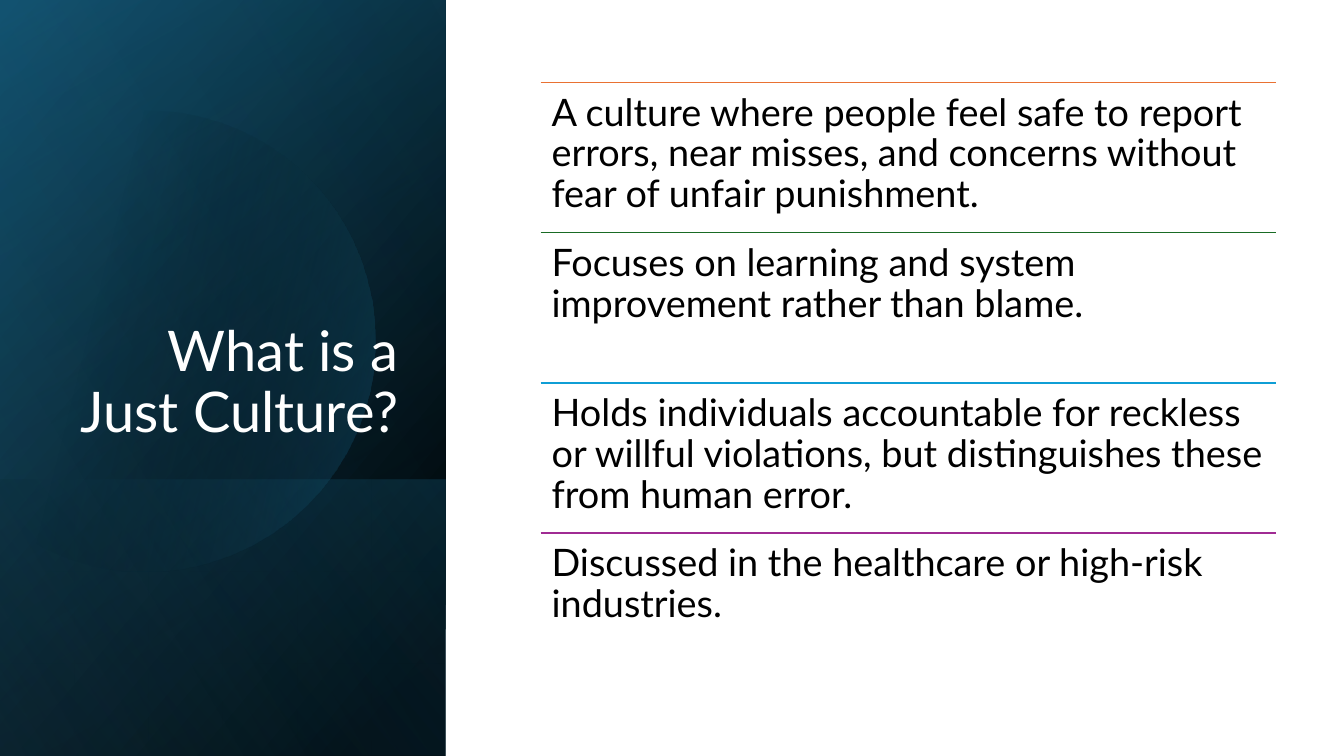
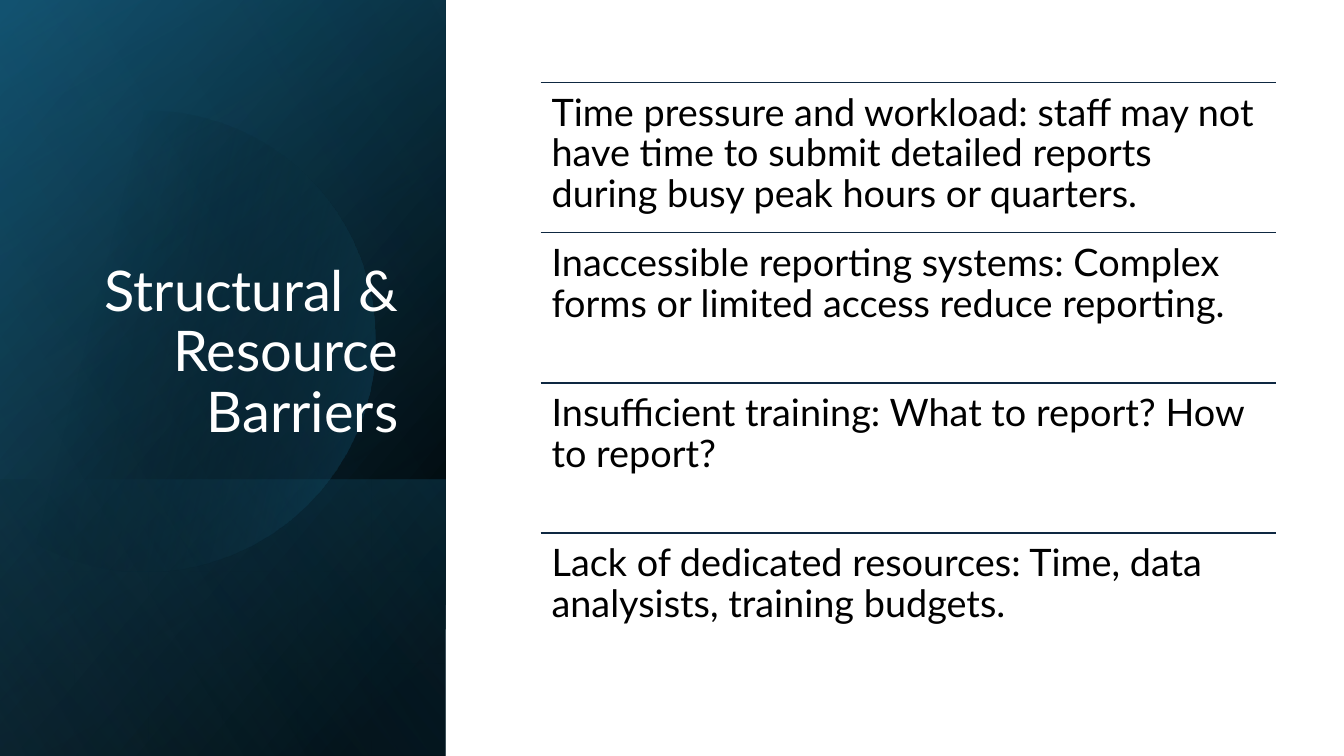
from dataclasses import dataclass

from pptx import Presentation, oxml, util as u
from pptx.dml.color import RGBColor
from pptx.enum import shapes, text
from pptx.oxml import ns

COLOURS = {
    "black": "000000", "white": "FFFFFF", "deep": "104862", "teal": "156082",
    "sky": "46B1E1", "navy": "0E2841", "orange": "E97132", "green": "196B24",
    "blue": "0F9ED5", "purple": "A02B93",
}
FONT = "Lato"
TITLE_ONLY = 5
CURVE_STEPS = 16

DISC_START = (33.7, 14.7)
DISC_RIGHT = [
    ((55.7, 14.9), (75.8, 23.6), (82.1, 36.7)),
    ((90, 52.9), (74.2, 69.7), (46.8, 74.4)),
    ((29.6, 77.3), (12, 74.8), (0, 68.5)),
]
DISC_EDGE = (0, 21.5)
DISC_TOP = [
    ((5.2, 18.9), (11.3, 17.1), (18.1, 15.9)),
    ((23.3, 15.1), (28.5, 14.7), DISC_START),
]

SLIDES = [
    ("What is a Just Culture?", [
        ("orange", "A culture where people feel safe to report errors, near misses, and concerns "
                   "without fear of unfair punishment."),
        ("green", "Focuses on learning and system improvement rather than blame."),
        ("blue", "Holds individuals accountable for reckless or willful violations, but "
                 "distinguishes these from human error."),
        ("purple", "Discussed in the healthcare or high-risk industries."),
    ]),
    ("Structural & Resource Barriers", [
        ("navy", "Time pressure and workload: staff may not have time to submit detailed reports "
                 "during busy peak hours or quarters."),
        ("navy", "Inaccessible reporting systems: Complex forms or limited access reduce reporting."),
        ("navy", "Insufficient training: What to report? How to report?"),
        ("navy", "Lack of dedicated resources: Time, data analysists, training budgets."),
    ]),
]


@dataclass
class Box:
    left: int
    top: int
    width: int
    height: int

    def point(self, across, down):
        return (round(self.left + self.width * across / 100),
                round(self.top + self.height * down / 100))

    def area(self, across, down, width, height):
        return Box(*self.point(across, down), round(self.width * width / 100),
                   round(self.height * height / 100))

    def frame(self):
        return self.left, self.top, self.width, self.height


def fill_gradient(shape, stops, angle):
    shape.shadow.inherit = False
    shape.line.fill.background()
    shape.fill.background()
    stop_xml = "".join(
        f'<a:gs pos="{position * 1000}"><a:srgbClr val="{COLOURS[colour]}">'
        f'<a:alpha val="{opacity * 1000}"/></a:srgbClr></a:gs>'
        for position, colour, opacity in stops)
    gradient = oxml.parse_xml(
        f'<a:gradFill {ns.nsdecls("a")} rotWithShape="1"><a:gsLst>{stop_xml}</a:gsLst>'
        f'<a:lin ang="{angle * 60000}" scaled="0"/></a:gradFill>')
    properties = shape._element.spPr
    properties.replace(properties.find(ns.qn("a:noFill")), gradient)


def add_glow(slide, box, stops, angle):
    inset = (box.width - box.height) // 2
    shape = slide.shapes.add_shape(
        shapes.MSO_SHAPE.RECTANGLE, box.left + inset, box.top - inset, box.height, box.width)
    shape.rotation = 90
    shape._element.spPr.xfrm.set("flipH", "1")
    fill_gradient(shape, stops, angle)


def trace_curves(start, curves):
    points = []
    for first, second, end in curves:
        for step in range(1, CURVE_STEPS + 1):
            t = step / CURVE_STEPS
            points.append(tuple(
                (1 - t) ** 3 * a + 3 * (1 - t) ** 2 * t * b + 3 * (1 - t) * t ** 2 * c + t ** 3 * d
                for a, b, c, d in zip(start, first, second, end)))
        start = end
    return points


def add_disc(slide, box):
    outline = trace_curves(DISC_START, DISC_RIGHT) + [DISC_EDGE] + trace_curves(DISC_EDGE, DISC_TOP)
    builder = slide.shapes.build_freeform(*box.point(*DISC_START))
    builder.add_line_segments([box.point(*point) for point in outline], close=True)
    fill_gradient(builder.convert_to_shape(), [(29, "black", 0), (100, "teal", 43)], 14)


def write_text(frame, content, size, colour, align=text.PP_ALIGN.LEFT,
               anchor=text.MSO_ANCHOR.TOP, side_inset=0.11, end_inset=0.11):
    frame.word_wrap = True
    frame.auto_size = text.MSO_AUTO_SIZE.NONE
    frame.vertical_anchor = anchor
    frame.margin_left = frame.margin_right = u.Inches(side_inset)
    frame.margin_top = frame.margin_bottom = u.Inches(end_inset)
    frame.text = content
    paragraph = frame.paragraphs[0]
    paragraph.alignment = align
    paragraph.line_spacing = 0.9
    font = paragraph.runs[0].font
    font.name = FONT
    font.size = u.Pt(size)
    font.color.rgb = RGBColor.from_string(COLOURS[colour])


def add_title_panel(slide, box, title):
    add_glow(slide, box, [(8, "black", 100), (100, "deep", 100)], 50)
    add_glow(slide, box, [(0, "black", 0), (99, "teal", 46)], 30)
    add_glow(slide, box.area(0, 63.47, 100, 36.53), [(2, "teal", 29), (100, "black", 30)], 130)
    add_disc(slide, box)
    add_glow(slide, box, [(0, "black", 0), (99, "sky", 11)], 120)
    heading = slide.shapes.title
    heading.left, heading.top, heading.width, heading.height = box.area(
        14.48, 24.53, 77.15, 34.93).frame()
    write_text(heading.text_frame, title, 40, "white", align=text.PP_ALIGN.RIGHT,
               anchor=text.MSO_ANCHOR.BOTTOM, side_inset=0.1, end_inset=0.05)
    tree = slide.shapes._spTree
    tree.remove(heading._element)
    tree.append(heading._element)


def add_rule(slide, box, colour):
    rule = slide.shapes.add_connector(
        shapes.MSO_CONNECTOR.STRAIGHT, *box.point(0, 0), *box.point(100, 0))
    rule.line.color.rgb = RGBColor.from_string(COLOURS[colour])
    rule.line.width = u.Pt(1)
    rule._element.spPr.append(oxml.parse_xml(f'<a:effectLst {ns.nsdecls("a")}/>'))


def add_ruled_list(slide, box, entries):
    share = 100 / len(entries)
    for index, (colour, content) in enumerate(entries):
        row = box.area(0, index * share, 100, share)
        add_rule(slide, row, colour)
        write_text(slide.shapes.add_textbox(*row.frame()).text_frame, content, 27, "black")


def add_panel_slide(presentation, title, entries):
    slide = presentation.slides.add_slide(presentation.slide_layouts[TITLE_ONLY])
    page = Box(0, 0, presentation.slide_width, presentation.slide_height)
    add_title_panel(slide, page.area(0, 0, 33.16, 100), title)
    add_ruled_list(slide, page.area(40.22, 10.9, 54.7, 79.5), entries)


def main():
    presentation = Presentation()
    presentation.slide_width = u.Inches(13.33)
    presentation.slide_height = u.Inches(7.5)
    for title, entries in SLIDES:
        add_panel_slide(presentation, title, entries)
    presentation.save("out.pptx")


if __name__ == "__main__":
    main()
